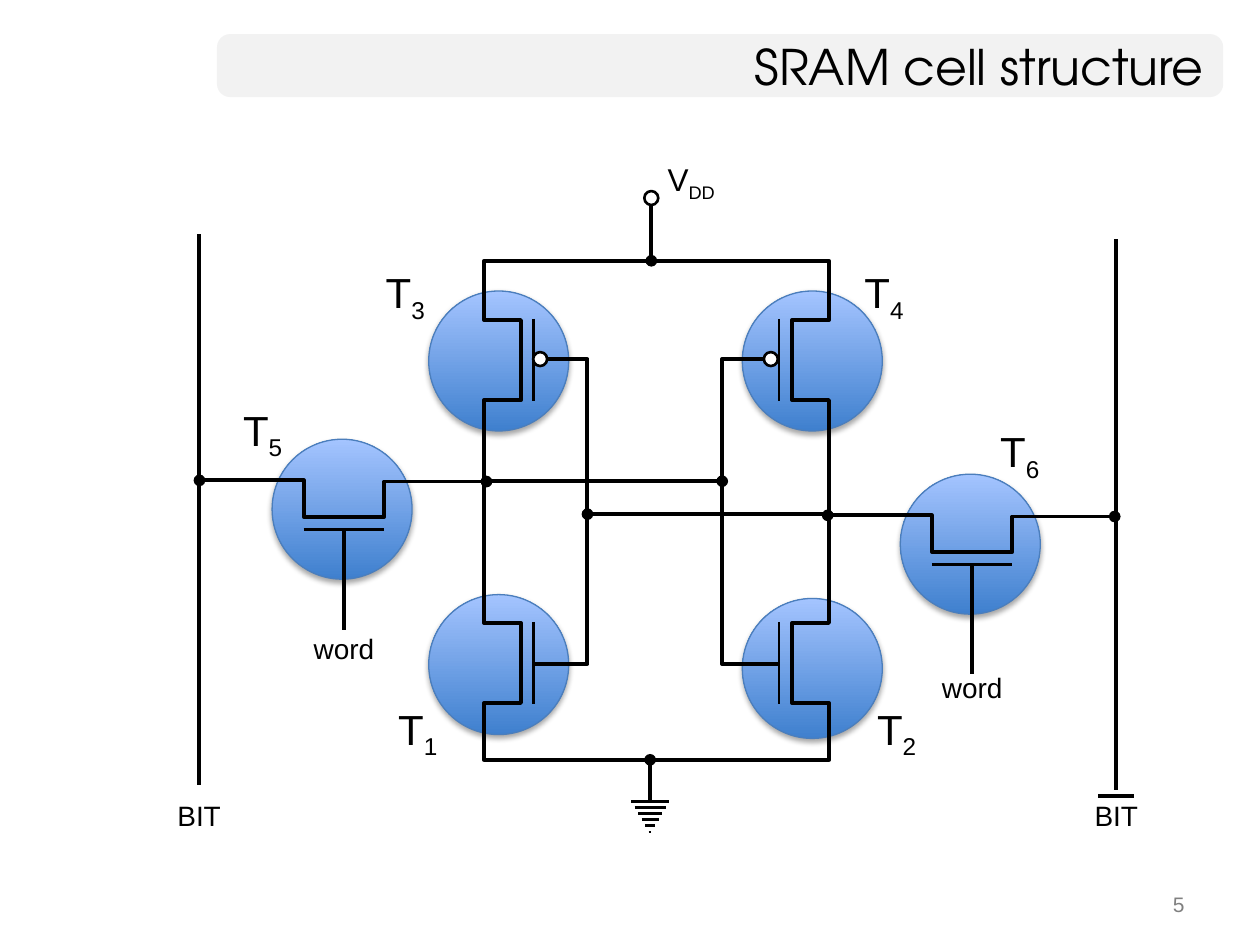
from pptx import Presentation
from pptx.dml.color import RGBColor
from pptx.enum import shapes, text
from pptx.oxml import parse_xml
from pptx.oxml.ns import nsdecls, qn
from pptx.util import Pt

COLORS = {"ink": "000000", "paper": "FFFFFF", "band": "F2F2F2", "page": "808080",
          "disc_low": "3F80CE", "disc_high": "A4C4FF", "disc_edge": "4B7EBC"}
HEAVY, FINE = 2.25, 1.5
DISC, BUBBLE = 80, 8
SHADOW = (f'<a:outerShdw {nsdecls("a")} blurRad="40000" dist="23000" dir="5400000" '
          'rotWithShape="0"><a:srgbClr val="000000"><a:alpha val="35000"/>'
          '</a:srgbClr></a:outerShdw>')
NAME = {"size": 24, "align": "LEFT", "anchor": "TOP"}
SIGNAL = {"size": 16, "align": "CENTER", "anchor": "MIDDLE"}
SUPPLY = {"size": 18, "align": "CENTER", "anchor": "MIDDLE", "wrap": True}
TITLE = {"size": 28, "align": "RIGHT", "anchor": "MIDDLE", "wrap": True,
         "font": "TeX Gyre Adventor", "grow": False}
PAGE = {"size": 12, "align": "RIGHT", "anchor": "MIDDLE", "wrap": True,
        "color": "page", "grow": False}


def rgb(name):
    return RGBColor.from_string(COLORS[name])


def label(slide, box, words, style, subscript=None):
    caption = slide.shapes.add_textbox(*map(Pt, box))
    frame = caption.text_frame
    grow = style.get("grow", True)
    frame_format = {
        "word_wrap": style.get("wrap", False),
        "vertical_anchor": text.MSO_ANCHOR[style["anchor"]],
        "auto_size": text.MSO_AUTO_SIZE["SHAPE_TO_FIT_TEXT" if grow else "NONE"],
    }
    for key, value in frame_format.items():
        setattr(frame, key, value)
    line = frame.paragraphs[0]
    line.alignment = text.PP_ALIGN[style["align"]]
    for part in filter(None, (words, subscript)):
        run = line.add_run()
        run.text = part
        for key, value in {"name": style.get("font", "Arial"),
                           "size": Pt(style["size"])}.items():
            setattr(run.font, key, value)
        run.font.color.rgb = rgb(style.get("color", "ink"))
    if subscript:
        caption.element.findall(".//" + qn("a:rPr"))[-1].set("baseline", "-25000")


def transistor_name(slide, left, top, number):
    label(slide, (left, top, 38.2, 36), "T", NAME, number)


def wire(parent, points, width=HEAVY, head=False, tail=False, close=False):
    """Two points make a connector, more points an open or closed outline."""
    corners = [(Pt(x), Pt(y)) for x, y in points]
    if len(corners) == 2:
        path = parent.shapes.add_connector(
            shapes.MSO_CONNECTOR.STRAIGHT, *corners[0], *corners[1])
    else:
        builder = parent.shapes.build_freeform(*corners[0], scale=1.0)
        builder.add_line_segments(corners[1:], close=close)
        path = builder.convert_to_shape()
        path.fill.background()
        path.shadow.inherit = False
    path.line.width = Pt(width)
    path.line.color.rgb = rgb("ink")
    properties = path.element.spPr
    for tag, wanted in (("headEnd", head), ("tailEnd", tail)):
        if wanted:
            properties.find(qn("a:ln")).append(
                parse_xml(f'<a:{tag} {nsdecls("a")} type="oval"/>'))
    if len(corners) == 2:
        properties.append(parse_xml(f'<a:effectLst {nsdecls("a")}/>'))


def disc(slide, left, top):
    body = slide.shapes.add_shape(
        shapes.MSO_SHAPE.OVAL, Pt(left), Pt(top), Pt(DISC), Pt(DISC))
    body.fill.gradient()
    body.fill.gradient_angle = 90
    for stop, name in zip(body.fill.gradient_stops, ("disc_low", "disc_high")):
        stop.color.rgb = rgb(name)
    body.line.color.rgb = rgb("disc_edge")
    body.line.width = Pt(0.75)
    body.shadow.inherit = False
    body.element.spPr.find(qn("a:effectLst")).append(parse_xml(SHADOW))


def bubble(slide, left, top):
    ring = slide.shapes.add_shape(
        shapes.MSO_SHAPE.FLOWCHART_CONNECTOR, Pt(left), Pt(top), Pt(BUBBLE), Pt(BUBBLE))
    ring.fill.solid()
    ring.fill.fore_color.rgb = rgb("paper")
    ring.line.color.rgb = rgb("ink")
    ring.line.width = Pt(FINE)
    ring.shadow.inherit = False


def header(slide, box):
    left, top, width, height = box
    band = slide.shapes.add_shape(shapes.MSO_SHAPE.ROUNDED_RECTANGLE, *map(Pt, box))
    band.adjustments[0] = 0.21
    band.fill.solid()
    band.fill.fore_color.rgb = rgb("band")
    band.line.fill.background()
    band.shadow.inherit = False
    label(slide, (left, top, width - 4, height), "SRAM cell structure", TITLE)


def bit_line(slide, x, top, inverted=False):
    wire(slide, [(x, top), (x, top + 314.6)])
    label(slide, (x - 19.8, 452.9, 39.6, 26.6), "BIT", SIGNAL)
    if inverted:
        wire(slide, [(x - 10.4, 455), (x + 10.4, 455)])


def access_transistor(slide, box, number, name_at, stem, word_top):
    """The box is the disc; the channel reaches out to both sides of it."""
    left, top = box
    start, end = left + 18, left + 64
    rail, channel, plate = top + 23.5, top + 44.3, top + 51.5
    middle = (start + end) / 2
    disc(slide, left, top)
    wire(slide, [(start - 59.5, rail), (start, rail), (start, channel),
                 (end, channel), (end, rail + 0.7), (end + 58.5, rail + 0.7)],
         head=True, tail=True)
    wire(slide, [(start, plate), (end, plate)], FINE)
    wire(slide, [(middle, plate), (middle, plate + stem)])
    label(slide, (middle - 24.8, top + word_top, 49.7, 26.6), "word", SIGNAL)
    transistor_name(slide, left + name_at[0], top + name_at[1], number)


def inverter_pair(slide, box):
    left, top, width, height = box
    spans = ((33.9, 79.6), (207, 252.7))  # channels of the upper and lower transistors
    gate_ys = (56.2, 230.4)

    def at(*points):
        return [(left + x, top + y) for x, y in points]

    def side(rail, channel):
        return [(x, y) for upper, lower in spans
                for x, y in ((rail, upper), (channel, upper),
                             (channel, lower), (rail, lower))]

    # Transistor bodies and gates: disc, lower disc top, plate, elbow, bubble
    for disc_x, low_top, plate, elbow, bubble_x in (
            (-31.7, 190.8, 28, 59, 28), (147.5, 193, 168.5, 136, 159.8)):
        for disc_y in (17.3, low_top):
            disc(slide, left + disc_x, top + disc_y)
        wire(slide, at((bubble_x + 4, gate_ys[0]), (elbow, gate_ys[0]),
                       (elbow, gate_ys[1]), (plate, gate_ys[1])))
        for upper, lower in spans:
            wire(slide, at((plate, upper - 0.7), (plate, lower + 0.7)), FINE)
        bubble(slide, left + bubble_x, top + gate_ys[0] - BUBBLE / 2)

    # Loop from the supply through all four channels to ground
    wire(slide, at((0, 0), (width, 0), *side(width, width - 21), (width, height),
                   (0, height), *reversed(side(0, 21))), close=True)

    # Cross coupling
    wire(slide, at((59, 144.8), (width, 144.8)), head=True)
    wire(slide, at((136, 126), (-2, 126)), head=True)

    for number, x, y in (("1", -56.2, 249.2), ("2", 217.4, 249.2),
                         ("3", -63.4, 0), ("4", 210.2, 0)):
        transistor_name(slide, left + x, top + y, number)


def supply(slide, x, bottom):
    wire(slide, [(x, bottom - 37.4), (x, bottom)], tail=True)
    bubble(slide, x - BUBBLE / 2, bottom - 39.8)
    label(slide, (x + 0.8, bottom - 59.7, 44, 28.8), "V", SUPPLY, "DD")


def ground(slide, x, top):
    first_bar = top + 23.7
    wire(slide, [(x, first_bar), (x, top)], tail=True)
    symbol = slide.shapes.add_group_shape()
    for step in range(6):
        half, y = 10.8 - 2 * step, first_bar + 3.5 * step
        wire(symbol, [(x - half, y), (x + half, y)], FINE)


def main():
    deck = Presentation()
    deck.slide_width, deck.slide_height = Pt(720), Pt(540)
    slide = deck.slides.add_slide(deck.slide_layouts[6])
    header(slide, (124, 19.5, 575, 36))
    label(slide, (516, 504, 168, 25), "5", PAGE)
    bit_line(slide, 113.8, 133.9)
    bit_line(slide, 637.9, 136.8, inverted=True)
    access_transistor(slide, (155.5, 251), "5", (-23.7, -23.5), 57.6, 106.1)
    access_transistor(slide, (514.5, 271), "6", (50, -31.2), 62.6, 108.4)
    inverter_pair(slide, (276.7, 149, 197, 285.2))
    supply(slide, 372.2, 149)
    ground(slide, 371.5, 434.2)
    deck.save("out.pptx")


if __name__ == "__main__":
    main()
